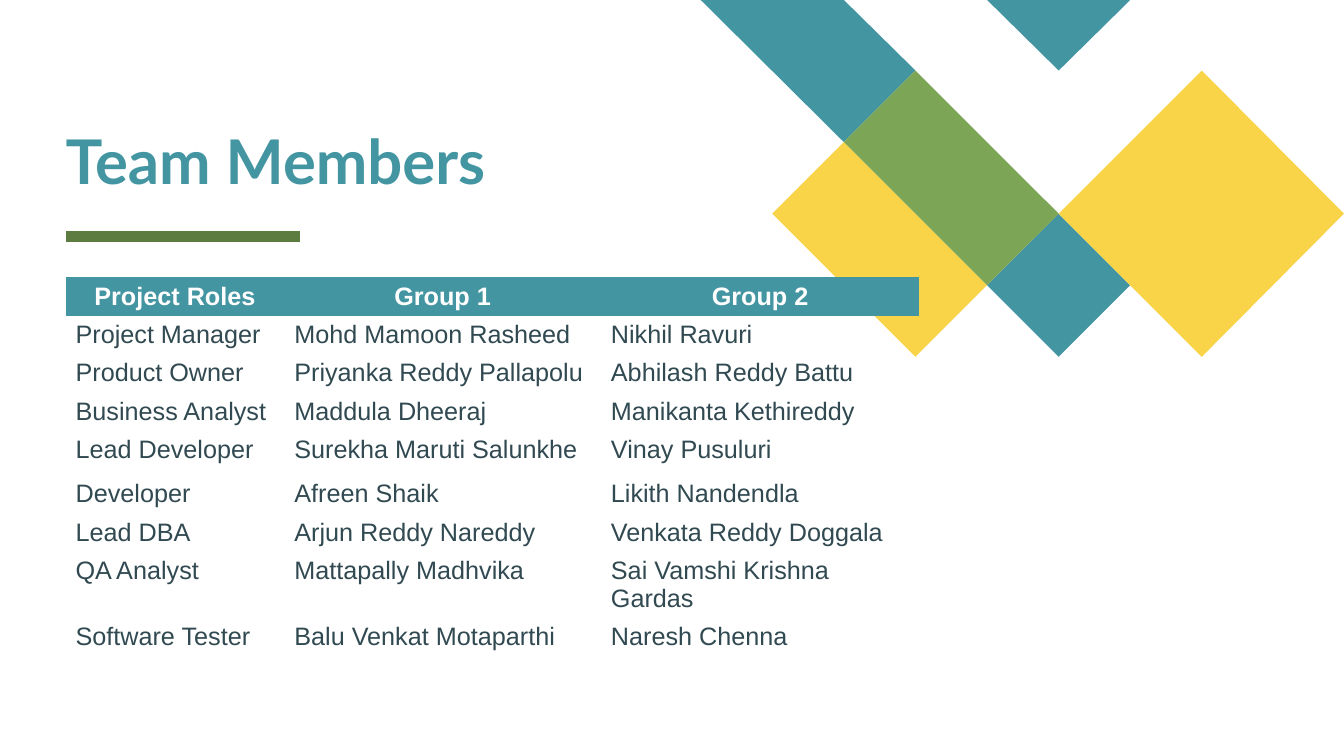
"""Builds the team members slide."""
from dataclasses import dataclass

from lxml.etree import SubElement
from pptx import Presentation
from pptx.dml.color import RGBColor
from pptx.enum.shapes import MSO_CONNECTOR as Connector
from pptx.enum.text import MSO_ANCHOR as Anchor, PP_ALIGN as Align
from pptx.oxml.ns import qn
from pptx.slide import Slide
from pptx.text.text import TextFrame
from pptx.util import Emu, Pt

PX = 9144
WIDTH, HEIGHT = 1333, 750
STEP = 71
GRID_LEFT, GRID_TOP = 1050, -1
TEAL, YELLOW, LEAF, OLIVE = "4495A2", "F9D448", "7CA655", "5D7C3F"
WHITE, INK = "FFFFFF", "314951"
NO_STYLE = "{2D5ABB26-0587-4C30-8999-92F81FD0307C}"

COLUMN_WIDTHS = [217, 314, 316]
ROW_HEIGHTS = [36, 36, 35, 36, 44, 36, 36, 36, 36]
MEMBERS = [
    ("Project Roles", "Group 1", "Group 2"),
    ("Project Manager", "Mohd Mamoon Rasheed", "Nikhil Ravuri"),
    ("Product Owner", "Priyanka Reddy Pallapolu", "Abhilash Reddy Battu"),
    ("Business Analyst", "Maddula Dheeraj", "Manikanta Kethireddy"),
    ("Lead Developer", "Surekha Maruti Salunkhe", "Vinay Pusuluri"),
    ("Developer", "Afreen Shaik", "Likith Nandendla"),
    ("Lead DBA", "Arjun Reddy Nareddy", "Venkata Reddy Doggala"),
    ("QA Analyst", "Mattapally Madhvika", "Sai Vamshi Krishna Gardas"),
    ("Software Tester", "Balu Venkat Motaparthi", "Naresh Chenna"),
]


@dataclass(frozen=True)
class Tile:
    """A filled outline whose corners are steps on the diagonal grid."""
    color: str
    contours: list[list[tuple[int, int]]]


TILES = [
    Tile(TEAL, [[(-2, 1), (-3, 0), (-5, 0), (-3, 2)],
                [(1, 4), (0, 3), (-1, 4), (0, 5)]]),
    Tile(YELLOW, [[(-3, 2), (-4, 3), (-2, 5), (-1, 4)]]),
    Tile(TEAL, [[(1, 0), (-1, 0), (0, 1)]]),
    Tile(LEAF, [[(-2, 1), (-3, 2), (-1, 4), (0, 3)]]),
    Tile(YELLOW, [[(4, 3), (2, 1), (0, 3), (2, 5)]]),
]


def px(length: int) -> Emu:
    """Turn px into EMU."""
    return Emu(length * PX)


def rgb(color: str) -> RGBColor:
    """Turn a hex string into a colour."""
    return RGBColor.from_string(color)


def grid_point(column: int, row: int) -> tuple[int, int]:
    """Return a grid corner in px, kept on the slide."""
    return min(GRID_LEFT + column * STEP, WIDTH), max(GRID_TOP + row * STEP, 0)


def write(frame: TextFrame, text: str, *, size: int, font: str, color: str,
          bold: bool = False, align: Align = Align.LEFT, spacing: float = 1.0) -> None:
    """Put one formatted paragraph into a text frame."""
    frame.text = text
    paragraph = frame.paragraphs[0]
    paragraph.alignment = align
    paragraph.line_spacing = spacing
    run_font = paragraph.runs[0].font
    run_font.size, run_font.name, run_font.bold = Pt(size), font, bold
    run_font.color.rgb = rgb(color)


def draw_tile(slide: Slide, tile: Tile) -> None:
    """Draw one tile of the corner pattern."""
    first, *others = [[grid_point(*corner) for corner in contour] for contour in tile.contours]
    builder = slide.shapes.build_freeform(*first[0], scale=PX)
    builder.add_line_segments(first[1:], close=True)
    for contour in others:
        builder.move_to(*contour[0])
        builder.add_line_segments(contour[1:], close=True)
    shape = builder.convert_to_shape()
    shape.shadow.inherit = False
    shape.fill.solid()
    shape.fill.fore_color.rgb = rgb(tile.color)
    shape.line.fill.background()


def draw_rule(slide: Slide) -> None:
    """Draw the thick rule below the title."""
    rule = slide.shapes.add_connector(Connector.STRAIGHT, px(65), px(235), px(298), px(235))
    rule.line.width = Pt(8)
    rule.line.color.rgb = rgb(OLIVE)
    SubElement(rule._element.spPr, qn("a:effectLst"))


def place_title(slide: Slide) -> None:
    """Move and fill the title placeholder."""
    title = slide.shapes.title
    title.left, title.top, title.width, title.height = px(65), px(21), px(742), px(174)
    frame = title.text_frame
    frame.margin_left = frame.margin_right = frame.margin_top = frame.margin_bottom = 0
    frame.vertical_anchor = Anchor.BOTTOM
    frame.word_wrap = True
    write(frame, "Team Members", size=44, font="Lato", color=TEAL, bold=True, spacing=0.8)


def draw_members(slide: Slide) -> None:
    """Draw the table of roles and groups."""
    table = slide.shapes.add_table(
        len(MEMBERS), len(COLUMN_WIDTHS), px(65), px(275),
        px(sum(COLUMN_WIDTHS)), px(sum(ROW_HEIGHTS))).table
    table._tbl.tblPr.find(qn("a:tableStyleId")).text = NO_STYLE
    table.horz_banding = False
    for column, width in zip(table.columns, COLUMN_WIDTHS):
        column.width = px(width)
    for index, (row, height, texts) in enumerate(zip(table.rows, ROW_HEIGHTS, MEMBERS)):
        row.height = px(height)
        header = index == 0
        for cell, text in zip(row.cells, texts):
            if header:
                cell.fill.solid()
                cell.fill.fore_color.rgb = rgb(TEAL)
            else:
                cell.fill.background()
            write(cell.text_frame, text, size=18, font="Arial",
                  color=WHITE if header else INK, bold=header,
                  align=Align.CENTER if header else Align.LEFT)


def main() -> None:
    """Build and save the presentation."""
    presentation = Presentation()
    presentation.slide_width, presentation.slide_height = px(WIDTH), px(HEIGHT)
    slide = presentation.slides.add_slide(presentation.slide_layouts.get_by_name("Title Only"))
    for tile in TILES:
        draw_tile(slide, tile)
    draw_rule(slide)
    place_title(slide)
    draw_members(slide)
    presentation.save("out.pptx")


if __name__ == "__main__":
    main()
